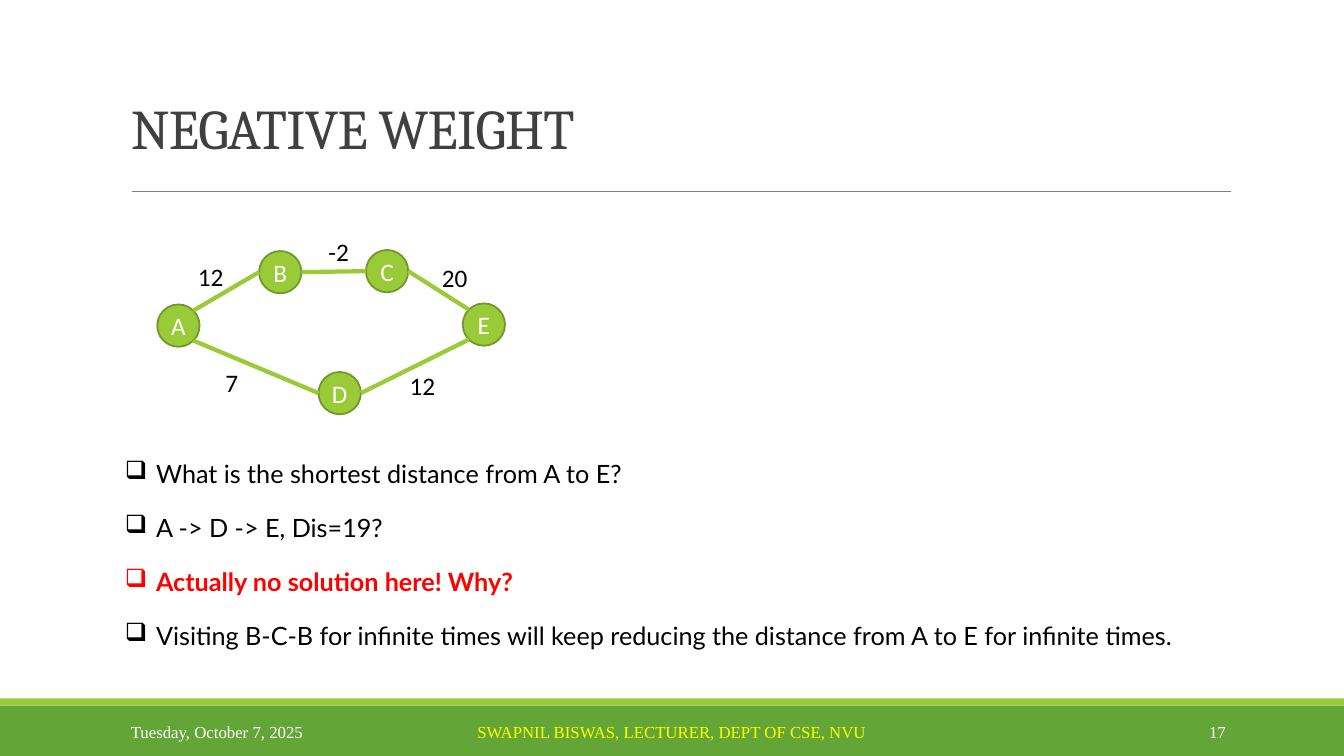
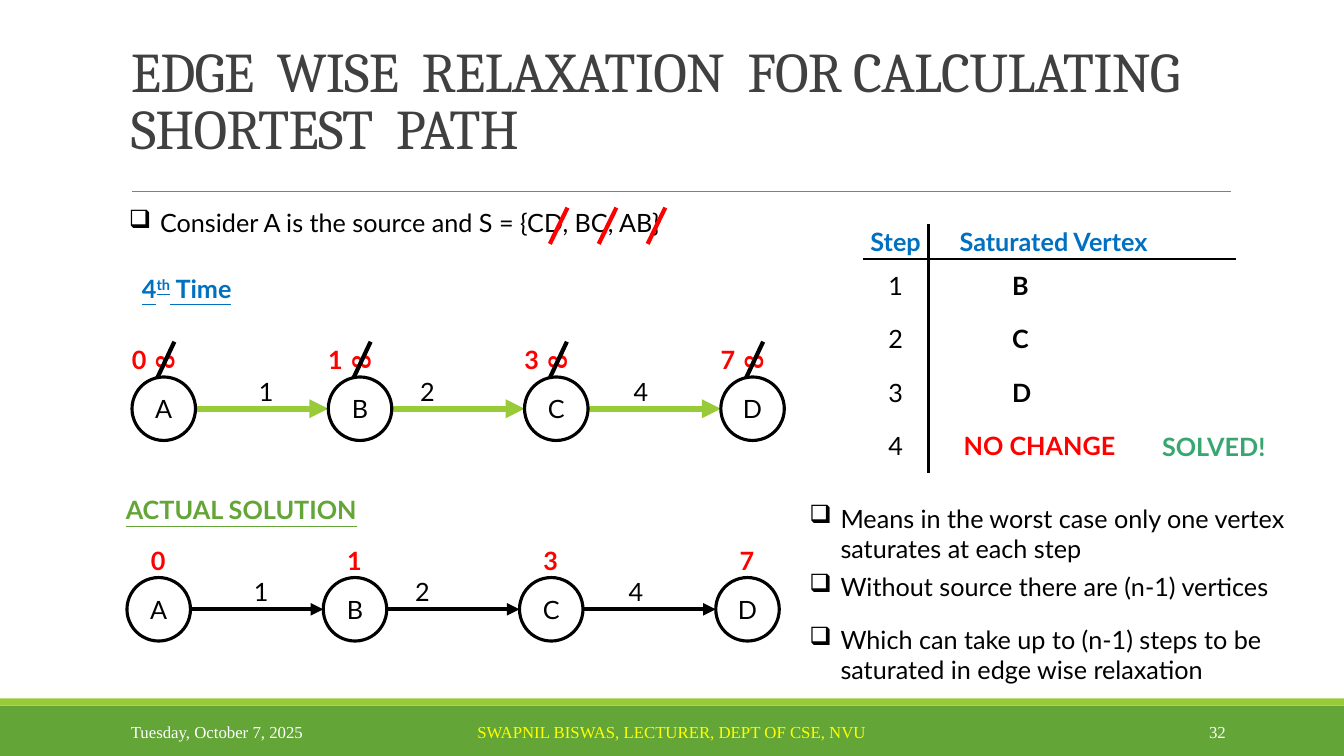
from dataclasses import dataclass
from math import cos, radians, sin

from lxml.etree import SubElement
from pptx import Presentation
from pptx.dml.color import RGBColor
from pptx.enum.shapes import MSO_CONNECTOR, MSO_SHAPE
from pptx.enum.text import MSO_ANCHOR, PP_ALIGN
from pptx.oxml.ns import qn
from pptx.util import Emu, Inches, Pt


@dataclass(frozen=True)
class Theme:
    lime: str = "99CB38"
    lime_edge: str = "719629"
    green: str = "63A537"
    solved: str = "37A76F"
    blue: str = "0070C0"
    red: str = "FF0000"
    yellow: str = "FFFF00"
    white: str = "FFFFFF"
    black: str = "000000"
    ink: str = "404040"
    rule: str = "808080"
    title_font: str = "Cambria"
    body_font: str = "Lato"
    graph_font: str = "Calibri"
    footer_font: str = "Times New Roman"
    title_size: int = 40
    body_size: int = 18
    footer_size: int = 12


THEME = Theme()
WIDTH, HEIGHT = Inches(13.333), Inches(7.5)
ROWS = 75
CELL = HEIGHT / ROWS
COLUMNS = WIDTH / CELL

DATE = "Tuesday, October 7, 2025"
LECTURER = "SWAPNIL BISWAS, LECTURER, DEPT OF CSE, NVU"

NEGATIVE = {
    "title": "NEGATIVE WEIGHT",
    "number": "17",
    "vertices": {"A": (17.7, 32.3), "B": (27.8, 27), "C": (38.4, 26.9),
                 "E": (48, 32.2), "D": (33.7, 39)},
    "edges": [
        ("A", -45, "B", 180, "12", (20.9, 27.4)),
        ("B", 0, "C", 180, "-2", (33.6, 24.9)),
        ("C", 0, "E", -135, "20", (45.1, 27.5)),
        ("A", 45, "D", 180, "7", (23, 37.9)),
        ("D", 0, "E", 135, "12", (41.9, 38.2)),
    ],
    "questions": [
        "What is the shortest distance from A to E?",
        "A -> D -> E, Dis=19?",
        [("Actually no solution here! Why?", {"bold": True, "color": THEME.red})],
        "Visiting B-C-B for infinite times will keep reducing the distance "
        "from A to E for infinite times.",
    ],
}

RELAXATION = {
    "title": "EDGE  WISE  RELAXATION  FOR CALCULATING  SHORTEST  PATH",
    "number": "32",
    "premise": "Consider A is the source and S = {CD, BC, AB}",
    "round": [("4", {}), ("th", {"baseline": 30}), (" Time", {})],
    "solution": "ACTUAL SOLUTION",
    "vertices": "ABCD",
    "weights": [("1", 13.3), ("2", 29.3), ("4", 50.5)],
    "distances": "0137",
    "unreached": "8",
    "steps": [
        ("Step", "Saturated Vertex", 3.1),
        ("1", "B", 8.3),
        ("2", "C", 8.3),
        ("3", "D", 8.3),
        ("4", "NO CHANGE", 3.5),
    ],
    "verdict": "SOLVED!",
    "conclusions": [
        "Means in the worst case only one vertex saturates at each step",
        "Without source there are (n-1) vertices",
        "Which can take up to (n-1) steps to be saturated in edge wise relaxation",
    ],
}


def cells(count):
    return Emu(round(count * CELL))


def write(frame, text, font=THEME.body_font, size=THEME.body_size, color=THEME.black,
          bold=False, underline=False, align=PP_ALIGN.LEFT, anchor=MSO_ANCHOR.TOP,
          spacing=None, tracking=None, bullet=None, after=(), margin=None, wrap=True):
    frame.word_wrap = wrap
    frame.vertical_anchor = anchor
    if margin is not None:
        frame.margin_left = frame.margin_right = cells(margin)
        frame.margin_top = frame.margin_bottom = 0
    paragraphs = text if isinstance(text, list) else [text]
    for index, content in enumerate(paragraphs):
        paragraph = frame.paragraphs[0] if index == 0 else frame.add_paragraph()
        paragraph.alignment = align
        if spacing:
            paragraph.line_spacing = spacing
        if index < len(after):
            paragraph.space_after = Pt(after[index])
        if bullet:
            properties = paragraph._p.get_or_add_pPr()
            properties.set("marL", str(cells(3.1)))
            properties.set("indent", str(-cells(3.1)))
            SubElement(properties, qn("a:buChar")).set("char", bullet)
        pieces = content if isinstance(content, list) else [(content, {})]
        for words, changes in pieces:
            run = paragraph.add_run()
            run.text = words
            run.font.name = font
            run.font.size = Pt(size)
            run.font.bold = changes.get("bold", bold)
            run.font.underline = underline
            run.font.color.rgb = RGBColor.from_string(changes.get("color", color))
            properties = run._r.get_or_add_rPr()
            if tracking:
                properties.set("spc", str(round(tracking * 100)))
            if "baseline" in changes:
                properties.set("baseline", str(changes["baseline"] * 1000))


def add_text(slide, text, left, top, width, height=4, **style):
    box = slide.shapes.add_textbox(cells(left), cells(top), cells(width), cells(height))
    write(box.text_frame, text, **style)
    return box


def add_label(slide, text, center, **style):
    side = 6
    return add_text(slide, text, center[0] - side / 2, center[1] - side / 2, side, side,
                    align=PP_ALIGN.CENTER, anchor=MSO_ANCHOR.MIDDLE, **style)


def add_outline(slide, kind, left, top, width, height, fill, edge=None, weight=0):
    outline = slide.shapes.add_shape(kind, cells(left), cells(top), cells(width), cells(height))
    outline.shadow.inherit = False
    outline.fill.solid()
    outline.fill.fore_color.rgb = RGBColor.from_string(fill)
    if edge:
        outline.line.color.rgb = RGBColor.from_string(edge)
        outline.line.width = Pt(weight)
    else:
        outline.line.fill.background()
    return outline


def add_vertex(slide, name, center, diameter, fill, edge, weight, **style):
    vertex = add_outline(slide, MSO_SHAPE.OVAL, center[0] - diameter / 2,
                         center[1] - diameter / 2, diameter, diameter, fill, edge, weight)
    write(vertex.text_frame, name, align=PP_ALIGN.CENTER, anchor=MSO_ANCHOR.MIDDLE,
          margin=0, wrap=False, **style)


def add_line(slide, start, end, color, weight, arrow=False):
    line = slide.shapes.add_connector(MSO_CONNECTOR.STRAIGHT, *map(cells, (*start, *end)))
    line.line.color.rgb = RGBColor.from_string(color)
    line.line.width = Pt(weight)
    properties = line._element.spPr
    if arrow:
        SubElement(properties.find(qn("a:ln")), qn("a:tailEnd")).set("type", "triangle")
    SubElement(properties, qn("a:effectLst"))


def add_frame(deck, content):
    slide = deck.slides.add_slide(deck.slide_layouts[6])
    add_outline(slide, MSO_SHAPE.RECTANGLE, 0, 70, COLUMNS, 5, THEME.green)
    add_outline(slide, MSO_SHAPE.RECTANGLE, 0, 69.3, COLUMNS, 0.7, THEME.lime)
    add_line(slide, (13.1, 19), (122.1, 19), THEME.rule, 0.5)
    add_text(slide, content["title"], 12, 0.6, 110, 15.9, font=THEME.title_font,
             size=THEME.title_size, color=THEME.ink, anchor=MSO_ANCHOR.BOTTOM,
             spacing=0.85, tracking=-0.5)
    footers = [
        (DATE, 12, 27, PP_ALIGN.LEFT, THEME.white),
        (LECTURER, 40.3, 52.7, PP_ALIGN.CENTER, THEME.yellow),
        (content["number"], 108.3, 14.3, PP_ALIGN.RIGHT, THEME.white),
    ]
    for text, left, width, align, color in footers:
        add_text(slide, text, left, 70.6, width, font=THEME.footer_font,
                 size=THEME.footer_size, color=color, align=align, anchor=MSO_ANCHOR.MIDDLE)
    return slide


def add_negative_weight(deck):
    slide = add_frame(deck, NEGATIVE)
    vertices = NEGATIVE["vertices"]
    diameter = 4.2

    def rim(name, angle):
        x, y = vertices[name]
        turn = radians(angle)
        return x + diameter / 2 * cos(turn), y + diameter / 2 * sin(turn)

    for name, center in vertices.items():
        add_vertex(slide, name, center, diameter, THEME.lime, THEME.lime_edge, 1.25,
                   font=THEME.graph_font, color=THEME.white)
    for source, leave, target, enter, weight, spot in NEGATIVE["edges"]:
        add_line(slide, rim(source, leave), rim(target, enter), THEME.lime, 3)
        add_label(slide, weight, spot, font=THEME.graph_font)
    add_text(slide, NEGATIVE["questions"], 11.4, 45, 110, 20.3, bullet="❑", after=(17,) * 3)


def add_chain(slide, left, top, edge_color, edge_weight, distance_offset, crossed):
    diameter, pitch = 6.3, 19.47
    middle = top + diameter / 2
    lefts = [left + pitch * index for index in range(len(RELAXATION["vertices"]))]
    for here, following in zip(lefts, lefts[1:]):
        add_line(slide, (here + diameter, middle), (following, middle),
                 edge_color, edge_weight, arrow=True)
    for weight, offset in RELAXATION["weights"]:
        add_label(slide, weight, (left + offset, top + 1.4))
    for name, distance, here in zip(RELAXATION["vertices"], RELAXATION["distances"], lefts):
        add_vertex(slide, name, (here + diameter / 2, middle), diameter,
                   THEME.white, THEME.black, 2.25)
        add_label(slide, distance, (here + distance_offset, top - 1.7),
                  color=THEME.red, bold=True)
        if crossed:
            unreached = add_label(slide, RELAXATION["unreached"], (here + 3.2, top - 1.5),
                                  color=THEME.red, bold=True)
            unreached.rotation = 270
            add_line(slide, (here + 4.2, top - 3.5), (here + 2.5, top + 0.1), THEME.black, 3)


def set_borders(cell, ruled):
    properties = cell._tc.get_or_add_tcPr()
    for index, side in enumerate(("lnL", "lnR", "lnT", "lnB")):
        border = SubElement(properties, qn("a:" + side))
        properties.insert(index, border)
        if side in ruled:
            border.set("w", str(Pt(2.25)))
            paint = SubElement(border, qn("a:solidFill"))
            SubElement(paint, qn("a:srgbClr")).set("val", THEME.black)
        else:
            SubElement(border, qn("a:noFill"))


def add_steps(slide):
    steps = RELAXATION["steps"]
    widths = (6.5, 30.5)
    heights = [3.5] + [5.3] * (len(steps) - 1)
    table = slide.shapes.add_table(len(steps), len(widths), cells(85.6), cells(22.2),
                                   cells(sum(widths)), cells(sum(heights))).table
    table.first_row = table.horz_banding = False
    for column, width in zip(table.columns, widths):
        column.width = cells(width)
    for row, (height, (step, vertex, indent)) in enumerate(zip(heights, steps)):
        table.rows[row].height = cells(height)
        header = row == 0
        ruled = {0: ["lnB"], 1: ["lnT"]}.get(row, [])
        saturated = THEME.red if row == len(steps) - 1 else THEME.black
        entries = [
            (step, 0, PP_ALIGN.CENTER, header, THEME.black, "lnR"),
            (vertex, indent, PP_ALIGN.LEFT, True, saturated, "lnL"),
        ]
        for column, (text, inset, align, bold, color, inner) in enumerate(entries):
            cell = table.cell(row, column)
            cell.fill.background()
            cell.margin_left = cells(inset)
            cell.margin_right = cell.margin_top = cell.margin_bottom = 0
            write(cell.text_frame, text, align=align, bold=bold,
                  color=THEME.blue if header else color)
            cell.vertical_anchor = MSO_ANCHOR.MIDDLE
            set_borders(cell, ruled + [inner])


def add_relaxation(deck):
    slide = add_frame(deck, RELAXATION)
    add_text(slide, RELAXATION["premise"], 11.8, 20.1, 60, bullet="❑")
    for index in range(3):
        top = 56.3 + 4.85 * index
        add_line(slide, (top, 20.6), (top - 1.75, 24.2), THEME.red, 3)
    add_text(slide, [RELAXATION["round"]], 13.1, 26.6, 14, color=THEME.blue,
             bold=True, underline=True)
    add_chain(slide, 13.1, 37.4, THEME.lime, 4.5, 0.7, crossed=True)
    add_text(slide, RELAXATION["solution"], 11.5, 48.6, 30, color=THEME.green,
             bold=True, underline=True)
    add_chain(slide, 12.6, 57.3, THEME.black, 3, 3.1, crossed=False)
    add_steps(slide)
    add_text(slide, RELAXATION["verdict"], 114.3, 42.3, 14, color=THEME.solved, bold=True)
    add_text(slide, RELAXATION["conclusions"], 79.3, 49.4, 53.9, 19.3,
             bullet="❑", after=(6, 16))


def main():
    deck = Presentation()
    deck.slide_width, deck.slide_height = WIDTH, HEIGHT
    add_negative_weight(deck)
    add_relaxation(deck)
    deck.save("out.pptx")


if __name__ == "__main__":
    main()
